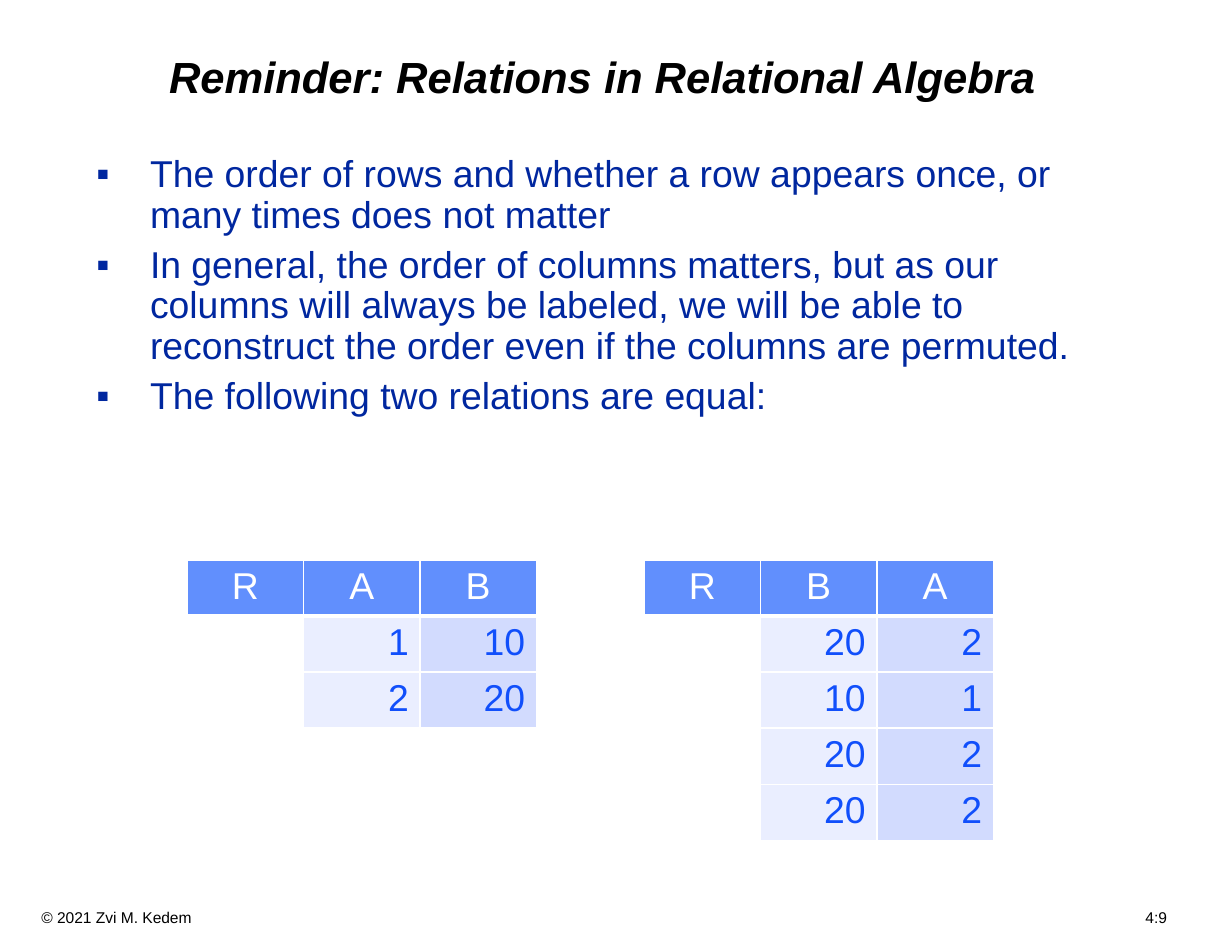
from lxml import etree
from pptx import Presentation
from pptx.dml.color import RGBColor
from pptx.enum.text import MSO_ANCHOR, PP_ALIGN
from pptx.oxml.ns import qn
from pptx.util import Inches, Pt

LEFT, CENTER, RIGHT = PP_ALIGN.LEFT, PP_ALIGN.CENTER, PP_ALIGN.RIGHT
TOP, MIDDLE = MSO_ANCHOR.TOP, MSO_ANCHOR.MIDDLE


def rgb(value):
    return RGBColor.from_string(value)


class Deck:
    FONT = "Arial"
    BLACK, WHITE, NAVY, BLUE = "000000", "FFFFFF", "00279F", "114FFB"
    HEADER = "618FFD"
    COLUMN_FILLS = [WHITE, "EAEEFF", "D2DBFE"]
    COL_W, ROW_H = 1.04, 0.47

    def __init__(self, prs):
        self.slide = prs.slides.add_slide(prs.slide_layouts[6])

    def style(self, p, size, color, align=LEFT, bold=False, italic=False):
        p.alignment = align
        for r in p.runs:
            r.font.name, r.font.size = self.FONT, Pt(size)
            r.font.bold, r.font.italic = bold, italic
            r.font.color.rgb = rgb(color)

    def box(self, x, y, w, h, anchor=TOP, inset=(0.11, 0.06)):
        sp = self.slide.shapes.add_textbox(
            Inches(x), Inches(y), Inches(w), Inches(h))
        tf = sp.text_frame
        tf.word_wrap, tf.vertical_anchor = True, anchor
        tf.margin_left = tf.margin_right = Inches(inset[0])
        tf.margin_top = tf.margin_bottom = Inches(inset[1])
        return tf

    def title(self, text):
        p = self.box(0.75, 0.25, 9.25, 0.92, MIDDLE).paragraphs[0]
        p.text, p.line_spacing = text, 0.9
        self.style(p, 28, self.BLACK, CENTER, bold=True, italic=True)

    def bullets(self, items):
        tf = self.box(0.75, 1.33, 9.33, 6.67)
        for i, text in enumerate(items):
            p = tf.paragraphs[0] if i == 0 else tf.add_paragraph()
            p.text, p.line_spacing = text, 0.9
            if i:
                p.space_before = Pt(6.5)
            pPr = p._p.get_or_add_pPr()
            pPr.set("marL", str(Inches(0.48)))
            pPr.set("indent", str(-Inches(0.48)))
            color = etree.SubElement(pPr, qn("a:buClr"))
            etree.SubElement(color, qn("a:srgbClr"), val=self.NAVY)
            etree.SubElement(pPr, qn("a:buFont"), typeface=self.FONT)
            etree.SubElement(pPr, qn("a:buChar"), char="▪")
            self.style(p, 24, self.NAVY)

    def borders(self, cell, bottom):
        tcPr = cell._tc.get_or_add_tcPr()
        for side, width in zip("LRTB", (1, 1, 1, bottom)):
            ln = etree.SubElement(tcPr, qn("a:ln" + side), w=str(Pt(width)))
            fill = etree.SubElement(ln, qn("a:solidFill"))
            etree.SubElement(fill, qn("a:srgbClr"), val=self.WHITE)

    def table(self, x, y, rows):
        n_rows, n_cols = len(rows), len(rows[0])
        table = self.slide.shapes.add_table(
            n_rows, n_cols, Inches(x), Inches(y),
            Inches(self.COL_W * n_cols), Inches(self.ROW_H * n_rows)).table
        for column in table.columns:
            column.width = Inches(self.COL_W)
        for i, values in enumerate(rows):
            head = i == 0
            table.rows[i].height = Inches(self.ROW_H)
            for j, value in enumerate(values):
                cell = table.cell(i, j)
                self.borders(cell, 3 if head else 1)
                cell.fill.solid()
                cell.fill.fore_color.rgb = rgb(
                    self.HEADER if head else self.COLUMN_FILLS[j])
                if value:
                    cell.text = value
                    self.style(cell.text_frame.paragraphs[0], 24,
                               self.WHITE if head else self.BLUE,
                               CENTER if head else RIGHT)

    def footer(self, left, right):
        p = self.box(0, 8.06, 11, 0.27, inset=(0.37, 0.05)).paragraphs[0]
        tabs = etree.SubElement(p._p.get_or_add_pPr(), qn("a:tabLst"))
        etree.SubElement(tabs, qn("a:tab"), pos=str(Inches(10.05)), algn="r")
        p.text = f"{left}\t{right}"
        self.style(p, 10, self.BLACK)


def main():
    prs = Presentation()
    prs.slide_width, prs.slide_height = Inches(11), Inches(8.5)
    deck = Deck(prs)

    # Footer and title
    deck.footer("© 2021 Zvi M. Kedem", "4:9")
    deck.title("Reminder: Relations in Relational Algebra")

    # Statements
    deck.bullets([
        "The order of rows and whether a row appears once, or many times "
        "does not matter",
        "In general, the order of columns matters, but as our columns will "
        "always be labeled, we will be able to reconstruct the order even "
        "if the columns are permuted.",
        "The following two relations are equal:",
    ])

    # Two equal relations
    deck.table(1.67, 5, [("R", "A", "B"), ("", "1", "10"), ("", "2", "20")])
    deck.table(5.75, 5, [("R", "B", "A"), ("", "20", "2"), ("", "10", "1"),
                         ("", "20", "2"), ("", "20", "2")])

    prs.save("out.pptx")


if __name__ == "__main__":
    main()
